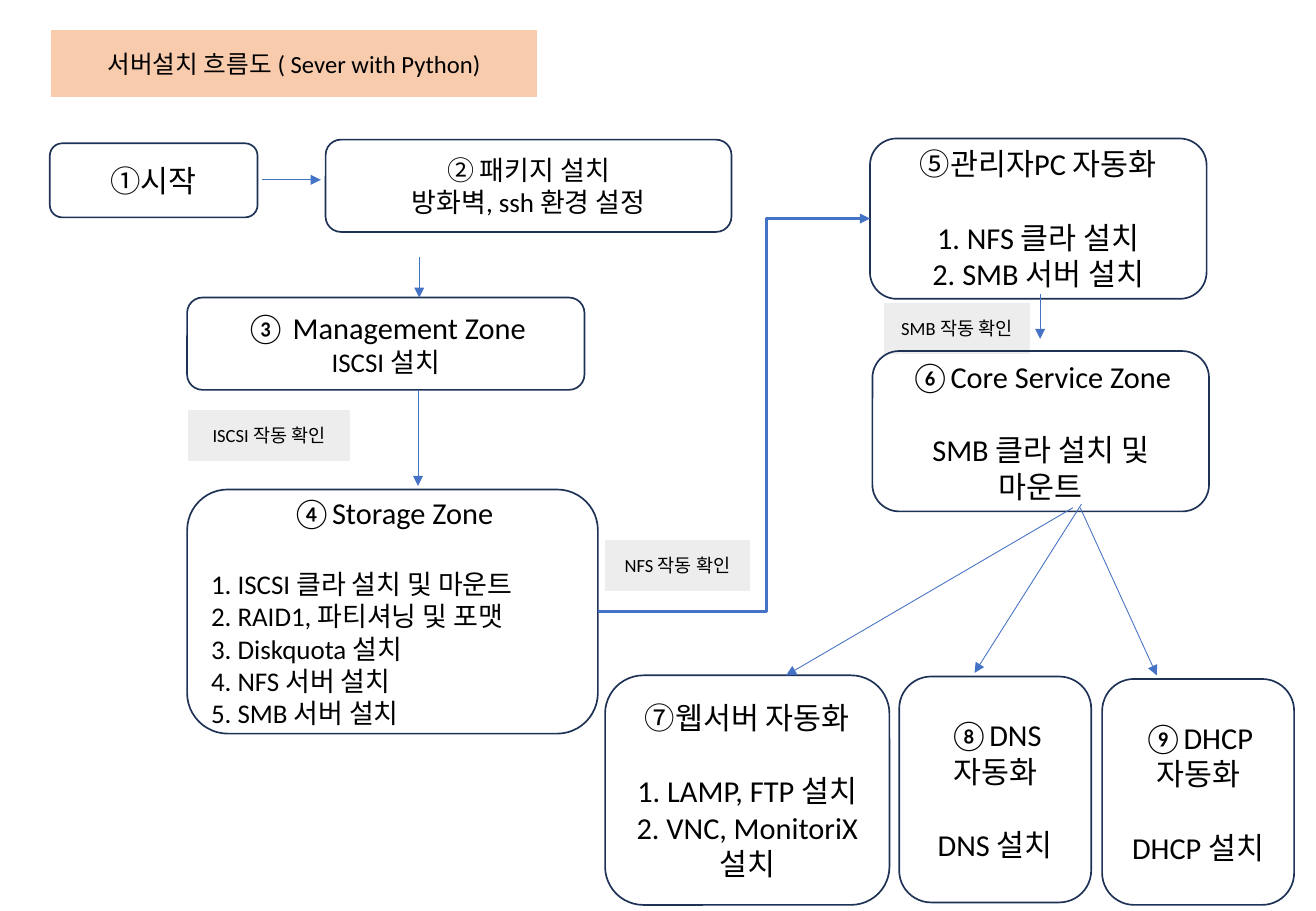
"""Builds the server installation flowchart slide."""
import pptx
import pptx.util
import pptx.dml.color
import pptx.enum.shapes
import pptx.enum.text
import pptx.oxml
import pptx.oxml.ns
from dataclasses import dataclass

Inches = pptx.util.Inches
Pt = pptx.util.Pt
RGB = pptx.dml.color.RGBColor.from_string
SHAPE = pptx.enum.shapes.MSO_SHAPE
CONNECTOR = pptx.enum.shapes.MSO_CONNECTOR
ALIGN = pptx.enum.text.PP_ALIGN
qn = pptx.oxml.ns.qn


@dataclass
class Theme:
    font: str = "Calibri"
    text: str = "000000"
    title_fill: str = "F8CBAD"
    check_fill: str = "EDEDED"
    plain_line: str = "FFFFFF"
    step_line: str = "1E3256"
    arrow: str = "4472C4"
    title: float = 14.6
    check: float = 11
    head: float = 18
    body: float = 16
    gap: float = 22


theme = Theme()
prs = pptx.Presentation()
prs.slide_width, prs.slide_height = Inches(10.83), Inches(7.5)
s = prs.slides.add_slide(prs.slide_layouts[6])


def add_box(kind, at, fill, line, lines, gap_at=None, left_from=None):
    sp = s.shapes.add_shape(kind, *map(Inches, at))
    sp.shadow.inherit = False
    if fill:
        sp.fill.solid()
        sp.fill.fore_color.rgb = RGB(fill)
    else:
        sp.fill.background()
    sp.line.color.rgb = RGB(line)
    sp.line.width = Pt(1)
    tf = sp.text_frame
    tf.word_wrap = True
    tf.vertical_anchor = pptx.enum.text.MSO_ANCHOR.MIDDLE
    for i, (text, size) in enumerate(lines):
        p = tf.paragraphs[0] if i == 0 else tf.add_paragraph()
        is_left = left_from is not None and i >= left_from
        p.alignment = ALIGN.LEFT if is_left else ALIGN.CENTER
        if i == gap_at:
            p.space_before = Pt(theme.gap)
        r = p.add_run()
        r.text = text
        r.font.name = theme.font
        r.font.size = Pt(size)
        r.font.color.rgb = RGB(theme.text)
    return sp


def add_arrow(kind, start, end, width):
    c = s.shapes.add_connector(kind, *map(Inches, start + end))
    c.line.color.rgb = RGB(theme.arrow)
    c.line.width = Pt(width)
    spPr = c.element.spPr
    tail = pptx.oxml.ns.nsdecls("a")
    spPr.find(qn("a:ln")).append(pptx.oxml.parse_xml(f'<a:tailEnd {tail} type="triangle"/>'))
    spPr.append(pptx.oxml.parse_xml(f"<a:effectLst {tail}/>"))
    return c


add_box(SHAPE.RECTANGLE, (0.41, 0.24, 4.02, 0.57), theme.title_fill, theme.plain_line,
        [("서버설치 흐름도 ( Sever with Python)", theme.title)])

checks = [
    ("ISCSI 작동 확인", 1.54, 3.37, 1.35),
    ("NFS 작동 확인", 4.97, 4.44, 1.21),
    ("SMB 작동 확인", 7.27, 2.49, 1.21),
]
for text, left, top, width in checks:
    add_box(SHAPE.RECTANGLE, (left, top, width, 0.43), theme.check_fill, theme.plain_line,
            [(text, theme.check)])

head, body = theme.head, theme.body
steps = [
    ("start", (0.41, 1.18, 1.71, 0.61), [("①시작", head)], None, None),
    ("packages", (2.68, 1.15, 3.34, 0.76),
     [("② 패키지 설치", body), ("방화벽, ssh 환경 설정", body)], None, None),
    ("management", (1.54, 2.45, 3.27, 0.76),
     [("③ Management Zone", head), ("ISCSI 설치", body)], None, None),
    ("storage", (1.54, 4.03, 3.38, 2.01),
     [("④Storage Zone", head), ("1. ISCSI 클라 설치 및 마운트", body),
      ("2. RAID1, 파티셔닝 및 포맷", body), ("3. Diskquota 설치", body),
      ("4. NFS 서버 설치", body), ("5. SMB 서버 설치", body)], 1, 1),
    ("admin", (7.16, 1.14, 2.77, 1.32),
     [("⑤관리자PC 자동화", head), ("1. NFS 클라 설치", head), ("2. SMB 서버 설치", head)], 1, None),
    ("core", (7.18, 2.89, 2.77, 1.32),
     [("⑥Core Service Zone", head), ("SMB 클라 설치 및 마운트", head)], 1, None),
    ("web", (4.98, 5.56, 2.34, 1.89),
     [("⑦웹서버 자동화", head), ("1. LAMP, FTP 설치", head), ("2. VNC, MonitoriX 설치", head)], 1, None),
    ("dns", (7.4, 5.57, 1.58, 1.86), [("⑧DNS 자동화", head), ("DNS 설치", head)], 1, None),
    ("dhcp", (9.07, 5.59, 1.58, 1.86), [("⑨DHCP 자동화", head), ("DHCP 설치", head)], 1, None),
]
boxes = {}
for name, at, lines, gap_at, left_from in steps:
    boxes[name] = add_box(SHAPE.ROUNDED_RECTANGLE, at, None, theme.step_line,
                          lines, gap_at, left_from)

arrows = [
    ((2.16, 1.48), (2.64, 1.48)),
    ((3.45, 2.12), (3.45, 2.45)),
    ((3.44, 3.21), (3.44, 4)),
    ((8.56, 2.42), (8.56, 2.79)),
    ((8.83, 4.18), (6.47, 5.56)),
    ((8.9, 4.15), (8.02, 5.54)),
    ((8.89, 4.18), (9.52, 5.56)),
]
for start, end in arrows:
    add_arrow(CONNECTOR.STRAIGHT, start, end, 0.5)

c = add_arrow(CONNECTOR.ELBOW, (4.92, 5.03), (7.16, 1.8), 1.75)
c.begin_connect(boxes["storage"], 3)
c.end_connect(boxes["admin"], 1)
bend = c.element.spPr.find(qn("a:prstGeom")).get_or_add_avLst()
bend.append(pptx.oxml.parse_xml(
    f'<a:gd {pptx.oxml.ns.nsdecls("a")} name="adj1" fmla="val 62000"/>'))

prs.save("out.pptx")
